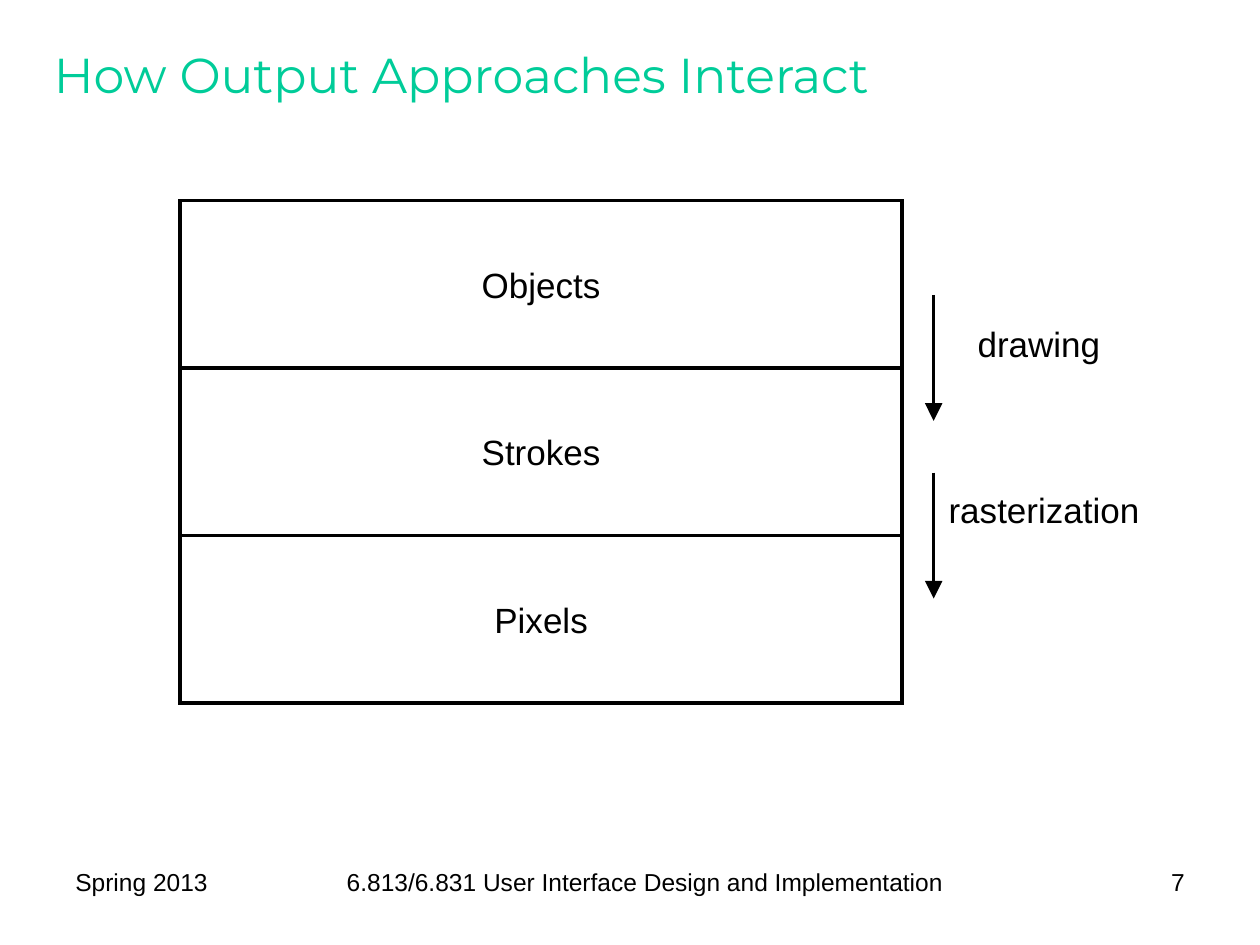
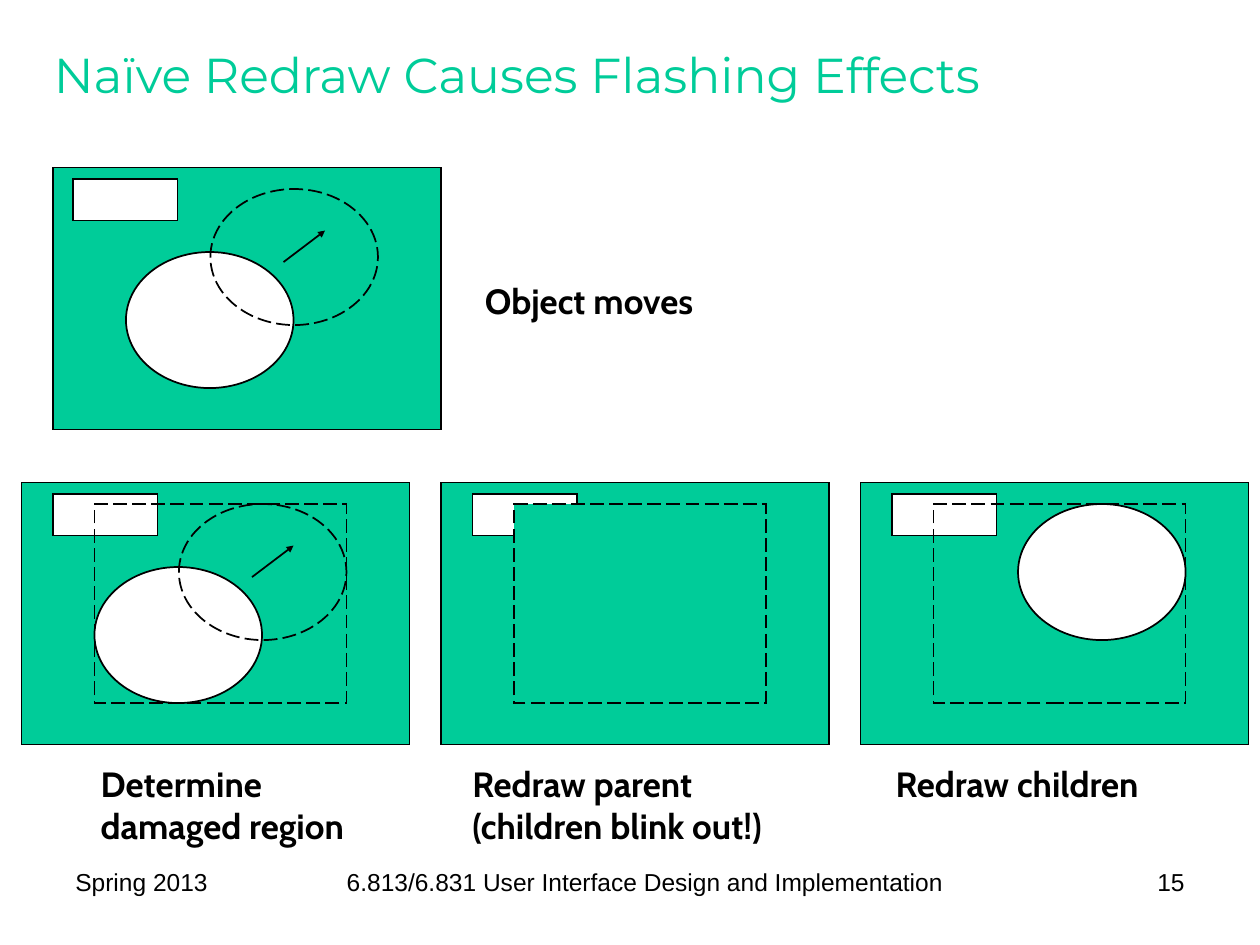
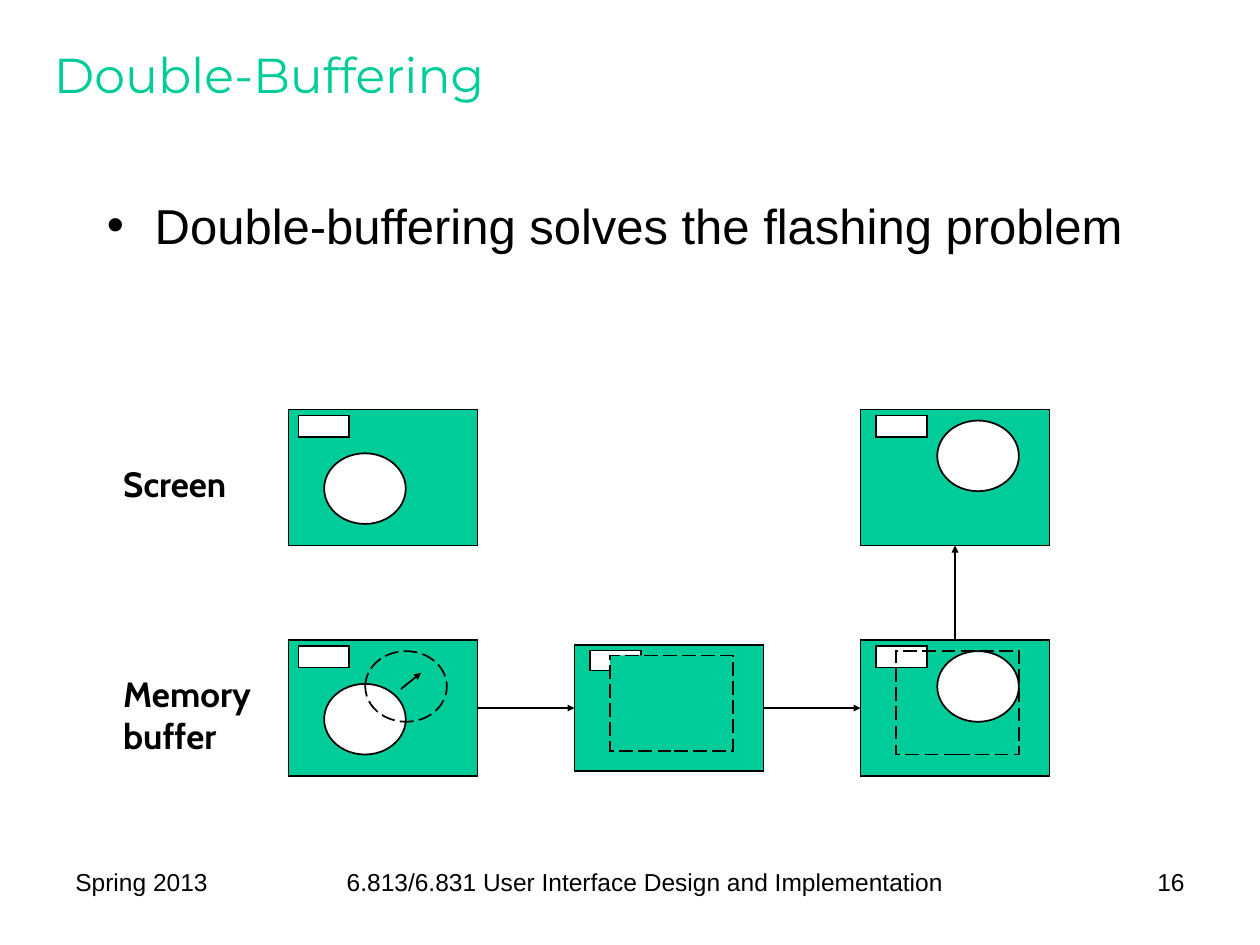
import pptx
import pptx.dml.color
import pptx.enum.dml
import pptx.enum.shapes
import pptx.enum.text
import pptx.oxml.ns
import pptx.util
from dataclasses import dataclass
from lxml import etree

Inches = pptx.util.Inches
Pt = pptx.util.Pt
SHAPE = pptx.enum.shapes.MSO_SHAPE
ALIGN = pptx.enum.text.PP_ALIGN
ANCHOR = pptx.enum.text.MSO_ANCHOR
qn = pptx.oxml.ns.qn


@dataclass(frozen=True)
class Theme:
    green: str = "00CC99"
    black: str = "000000"
    white: str = "FFFFFF"
    title_font: str = "Montserrat"
    body_font: str = "Arial"
    caption_font: str = "Cabin"
    large: int = 28
    medium: int = 20
    small: int = 14


T = Theme()
RGB = pptx.dml.color.RGBColor.from_string


def add_box(shapes, at, kind=None, fill=None, width=1, dashed=False, text="", size=T.medium,
            font=T.body_font, color=T.black, bold=False, align=ALIGN.LEFT,
            anchor=ANCHOR.TOP, wrap=False, grow=False):
    """Add a preset shape, or a text box when no kind is given."""
    box = [Inches(v) for v in at]
    if kind is None:
        sp = shapes.add_textbox(*box)
    else:
        sp = shapes.add_shape(kind, *box)
        sp.shadow.inherit = False
        sp.line.color.rgb = RGB(T.black)
        sp.line.width = Pt(width)
        if dashed:
            sp.line.dash_style = pptx.enum.dml.MSO_LINE.LONG_DASH
        etree.SubElement(sp.line._get_or_add_ln(), qn("a:miter"), lim="800000")
        if fill:
            sp.fill.solid()
            sp.fill.fore_color.rgb = RGB(fill)
        else:
            sp.fill.background()
    if not text:
        return sp
    tf = sp.text_frame
    tf.word_wrap = wrap
    tf.vertical_anchor = anchor
    if grow:
        tf.auto_size = pptx.enum.text.MSO_AUTO_SIZE.SHAPE_TO_FIT_TEXT
    for i, line in enumerate(text.split("\n")):
        p = tf.add_paragraph() if i else tf.paragraphs[0]
        p.alignment = align
        r = p.add_run()
        r.text = line
        r.font.name = font
        r.font.size = Pt(size)
        r.font.bold = bold
        r.font.color.rgb = RGB(color)
    return sp


def add_arrow(shapes, x1, y1, x2, y2, width=1, head="sm"):
    """Add a straight line with an arrowhead at its end."""
    cn = shapes.add_connector(pptx.enum.shapes.MSO_CONNECTOR.STRAIGHT,
                              Inches(x1), Inches(y1), Inches(x2), Inches(y2))
    cn.line.color.rgb = RGB(T.black)
    cn.line.width = Pt(width)
    etree.SubElement(cn.line._get_or_add_ln(), qn("a:tailEnd"),
                     type="triangle", w=head, len=head)
    etree.SubElement(cn._element.spPr, qn("a:effectLst"))


prs = pptx.Presentation()
prs.slide_width = Inches(10)
prs.slide_height = Inches(7.5)

# Title and footers on every slide
slides = []
for title, number in [("How Output Approaches Interact", "7"),
                      ("Naïve Redraw Causes Flashing Effects", "15"),
                      ("Double-Buffering", "16")]:
    s = prs.slides.add_slide(prs.slide_layouts[6])
    slides.append(s.shapes)
    add_box(s.shapes, (0.33, 0.17, 9.25, 0.83), text=title, size=T.large, font=T.title_font,
            color=T.green, anchor=ANCHOR.MIDDLE, wrap=True)
    for left, width, text, align in [
            (0.5, 1.5, "Spring 2013", ALIGN.LEFT),
            (2.08, 6.08, "6.813/6.831 User Interface Design and Implementation", ALIGN.CENTER),
            (8.25, 1.25, number, ALIGN.RIGHT)]:
        add_box(s.shapes, (left, 6.83, width, 0.52), text=text, size=T.small,
                align=align, wrap=True)
layers, redraw, buffering = slides

# Output layers and the steps between them
for i, name in enumerate(["Objects", "Strokes", "Pixels"]):
    add_box(layers, (1.43, 1.59 + 1.33 * i, 5.73, 1.33), SHAPE.RECTANGLE, T.white, width=2,
            text=name, align=ALIGN.CENTER, anchor=ANCHOR.MIDDLE)
for arrow_top, name, at in [(2.34, "drawing", (7.66, 2.51, 1.18, 0.43)),
                            (3.75, "rasterization", (7.43, 3.83, 1.75, 0.43))]:
    add_arrow(layers, 7.41, arrow_top, 7.41, arrow_top + 1, width=2, head="lg")
    add_box(layers, at, text=name, grow=True)

# Double-buffering bullet
sp = add_box(buffering, (0.75, 1.5, 8.5, 5.17), size=T.large, wrap=True,
             text="Double-buffering solves the flashing problem")
p = sp.text_frame.paragraphs[0]
p.space_before = Pt(0.2 * T.large)
pPr = p._p.get_or_add_pPr()
pPr.set("marL", str(Inches(0.38)))
pPr.set("indent", str(Inches(-0.38)))
etree.SubElement(pPr, qn("a:buFont"), typeface=T.body_font)
etree.SubElement(pPr, qn("a:buChar"), char="•")

# Parts of a window, measured from its corner at full size, from back to front
WINDOW_W, WINDOW_H = 3.08, 2.08
OLD_BALL = (0.58, 0.67, 1.33, 1.08)
NEW_BALL = (1.25, 0.17, 1.33, 1.08)
REGION = (0.58, 0.17, 2, 1.58)
MOTION = (1.83, 0.75, 2.16, 0.5)
parts = {
    "old": (OLD_BALL, SHAPE.OVAL, T.white, False),
    "ghost": (NEW_BALL, SHAPE.OVAL, None, True),
    "new": (NEW_BALL, SHAPE.OVAL, T.white, False),
    "region": (REGION, SHAPE.RECTANGLE, None, True),
    "erased": (REGION, SHAPE.RECTANGLE, T.green, True),
}

# Windows: slide, place, left of the label inside, parts shown
windows = [
    (redraw, (0.42, 1.33, 3.08, 2.08), 0.16, ["old", "ghost"]),
    (redraw, (0.17, 3.83, 3.08, 2.08), 0.25, ["old", "ghost", "region"]),
    (redraw, (3.5, 3.83, 3.08, 2.08), 0.25, ["erased"]),
    (redraw, (6.83, 3.83, 3.08, 2.08), 0.25, ["new", "region"]),
    (buffering, (2.29, 3.25, 1.5, 1.08), 0.16, ["old"]),
    (buffering, (6.83, 3.25, 1.5, 1.08), 0.25, ["new"]),
    (buffering, (2.29, 5.08, 1.5, 1.08), 0.16, ["old", "ghost"]),
    (buffering, (4.56, 5.12, 1.5, 1), 0.25, ["erased"]),
    (buffering, (6.83, 5.08, 1.5, 1.08), 0.25, ["new", "region"]),
]
for shapes, (left, top, width, height), label_left, shown in windows:
    group = shapes.add_group_shape().shapes
    kx, ky = width / WINDOW_W, height / WINDOW_H
    add_box(group, (left, top, width, height), SHAPE.RECTANGLE, T.green)
    add_box(group, (left + label_left * kx, top + 0.09 * ky, 0.83 * kx, 0.33 * ky),
            SHAPE.RECTANGLE, T.white)
    for name in shown:
        (x, y, w, h), kind, fill, dashed = parts[name]
        add_box(group, (left + x * kx, top + y * ky, w * kx, h * ky), kind, fill, dashed=dashed)
    if "ghost" in shown:
        x1, y1, x2, y2 = MOTION
        add_arrow(group, left + x1 * kx, top + y1 * ky, left + x2 * kx, top + y2 * ky)

# Captions
for shapes, at, text in [
        (redraw, (3.75, 2.17, 2.02, 0.43), "Object moves"),
        (redraw, (0.7, 6, 2.35, 0.77), "Determine\ndamaged region"),
        (redraw, (3.65, 6, 2.79, 0.77), "Redraw parent\n(children blink out!)"),
        (redraw, (7.01, 6, 2.36, 0.43), "Redraw children"),
        (buffering, (0.88, 3.62, 1.13, 0.43), "Screen"),
        (buffering, (0.88, 5.29, 1.34, 0.77), "Memory\nbuffer")]:
    add_box(shapes, at, text=text, font=T.caption_font, bold=True, grow=True)

# Flow through the memory buffer to the screen
for ends in [(3.79, 5.62, 4.56, 5.62), (6.06, 5.62, 6.83, 5.62), (7.58, 5.08, 7.58, 4.33)]:
    add_arrow(buffering, *ends)

prs.save("out.pptx")
